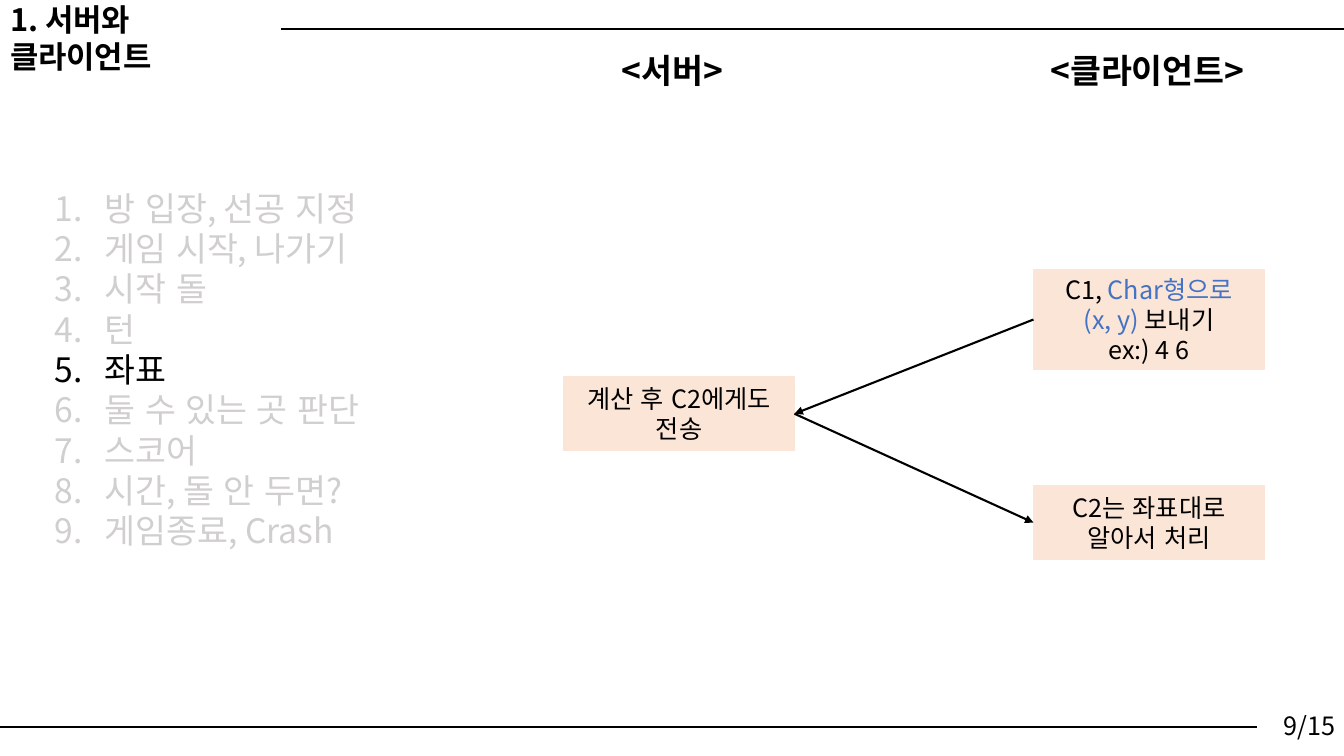
from pptx import Presentation
from pptx.dml.color import RGBColor
from pptx.enum.lang import MSO_LANGUAGE_ID
from pptx.enum.shapes import MSO_CONNECTOR, MSO_SHAPE
from pptx.enum.text import MSO_ANCHOR, MSO_AUTO_SIZE, PP_ALIGN
from pptx.oxml.ns import qn
from pptx.util import Inches, Pt
from lxml.etree import SubElement

FONT = "Noto Sans CJK KR"
BLACK, WHITE, GREY, BLUE, PEACH = "000000", "FFFFFF", "D0CECE", "4472C4", "FBE5D6"
STEPS = ["방 입장, 선공 지정", "게임 시작, 나가기", "시작 돌", "턴", "좌표",
         "둘 수 있는 곳 판단", "스코어", "시간, 돌 안 두면?", "게임종료, Crash"]
ACTIVE = "좌표"


def color(code):
    return RGBColor.from_string(code)


def apply(item, values):
    for name, value in values.items():
        setattr(item, name, value)


def place(shape, left, top, width, height):
    apply(shape, {"left": Inches(left), "top": Inches(top),
                  "width": Inches(width), "height": Inches(height)})


def paint(shape, code):
    shape.fill.solid()
    shape.fill.fore_color.rgb = color(code)
    shape.line.color.rgb = color(code)
    shape.line.width = Pt(1)


def write(shape, lines, size, align=PP_ALIGN.CENTER, bold=False,
          anchor=MSO_ANCHOR.MIDDLE, number=False):
    frame = shape.text_frame
    apply(frame, {"word_wrap": True, "auto_size": MSO_AUTO_SIZE.NONE,
                  "vertical_anchor": anchor})
    for index, line in enumerate(lines):
        para = frame.add_paragraph() if index else frame.paragraphs[0]
        apply(para, {"alignment": align, "space_before": Pt(0), "line_spacing": 1.0})
        if number:
            props = para._p.get_or_add_pPr()
            props.set("marL", str(Inches(0.5)))
            props.set("indent", str(-Inches(0.5)))
            SubElement(props, qn("a:buFont"), typeface="+mj-lt")
            SubElement(props, qn("a:buAutoNum"), type="arabicPeriod")
        for text, code in line:
            run = para.add_run()
            run.text = text
            apply(run.font, {"size": Pt(size), "bold": bold, "name": FONT,
                             "language_id": MSO_LANGUAGE_ID.KOREAN})
            run.font.color.rgb = color(code)
            SubElement(run._r.get_or_add_rPr(), qn("a:ea"), typeface=FONT)


def add_box(slide, spot, fill, lines, **style):
    box = slide.shapes.add_shape(MSO_SHAPE.RECTANGLE, *map(Inches, spot))
    box.shadow.inherit = False
    paint(box, fill)
    write(box, lines, 18, **style)
    return box


def add_label(slide, left, text):
    label = slide.shapes.add_textbox(*map(Inches, (left, 0.33, 3.02, 0.74)))
    write(label, [[(text, BLACK)]], 24, bold=True)


def add_line(slide, start, end, width):
    line = slide.shapes.add_connector(
        MSO_CONNECTOR.STRAIGHT, *map(Inches, (*start, *end)))
    line.line.color.rgb = color(BLACK)
    line.line.width = Pt(width)
    SubElement(line._element.spPr, qn("a:effectLst"))
    return line


def add_arrow(slide, source, start, target, end):
    arrow = add_line(slide, (0, 0), (1, 1), 1.5)
    arrow.begin_connect(source, start)
    arrow.end_connect(target, end)
    SubElement(arrow._element.spPr.get_or_add_ln(), qn("a:tailEnd"), type="triangle")


def main():
    deck = Presentation()
    apply(deck, {"slide_width": Inches(13.33), "slide_height": Inches(7.5)})
    slide = deck.slides.add_slide(deck.slide_layouts[1])
    title, body = slide.placeholders

    for top in (0.29, 7.21):
        rule = add_line(slide, (0, top), (13.33, top), 1.5)
        slide.shapes._spTree.insert(2, rule._element)

    add_box(slide, (12.47, 6.89, 0.87, 0.61), WHITE, [[("9/15", BLACK)]],
            align=PP_ALIGN.RIGHT)

    place(title, 0, 0, 2.78, 0.74)
    paint(title, WHITE)
    write(title, [[("1. 서버와 클라이언트", BLACK)]], 22, align=PP_ALIGN.LEFT, bold=True)

    place(body, 0.44, 1.81, 4.67, 3.74)
    write(body, [[(step, BLACK if step == ACTIVE else GREY)] for step in STEPS], 24,
          align=PP_ALIGN.LEFT, anchor=MSO_ANCHOR.TOP, number=True)

    add_label(slide, 5.16, "<서버>")
    add_label(slide, 9.87, "<클라이언트>")

    sender = add_box(slide, (10.25, 2.68, 2.29, 0.98), PEACH, [
        [("C1, ", BLACK), ("Char형으로", BLUE)],
        [("(x, y) ", BLUE), ("보내기", BLACK)],
        [("ex:) 4 6", BLACK)]])
    server = add_box(slide, (5.59, 3.74, 2.29, 0.73), PEACH, [
        [("계산 후 C2에게도", BLACK)], [("전송", BLACK)]])
    other = add_box(slide, (10.25, 4.82, 2.29, 0.73), PEACH, [
        [("C2는 좌표대로", BLACK)], [("알아서 처리", BLACK)]])
    add_arrow(slide, sender, 1, server, 3)
    add_arrow(slide, server, 3, other, 1)

    deck.save("out.pptx")


if __name__ == "__main__":
    main()
